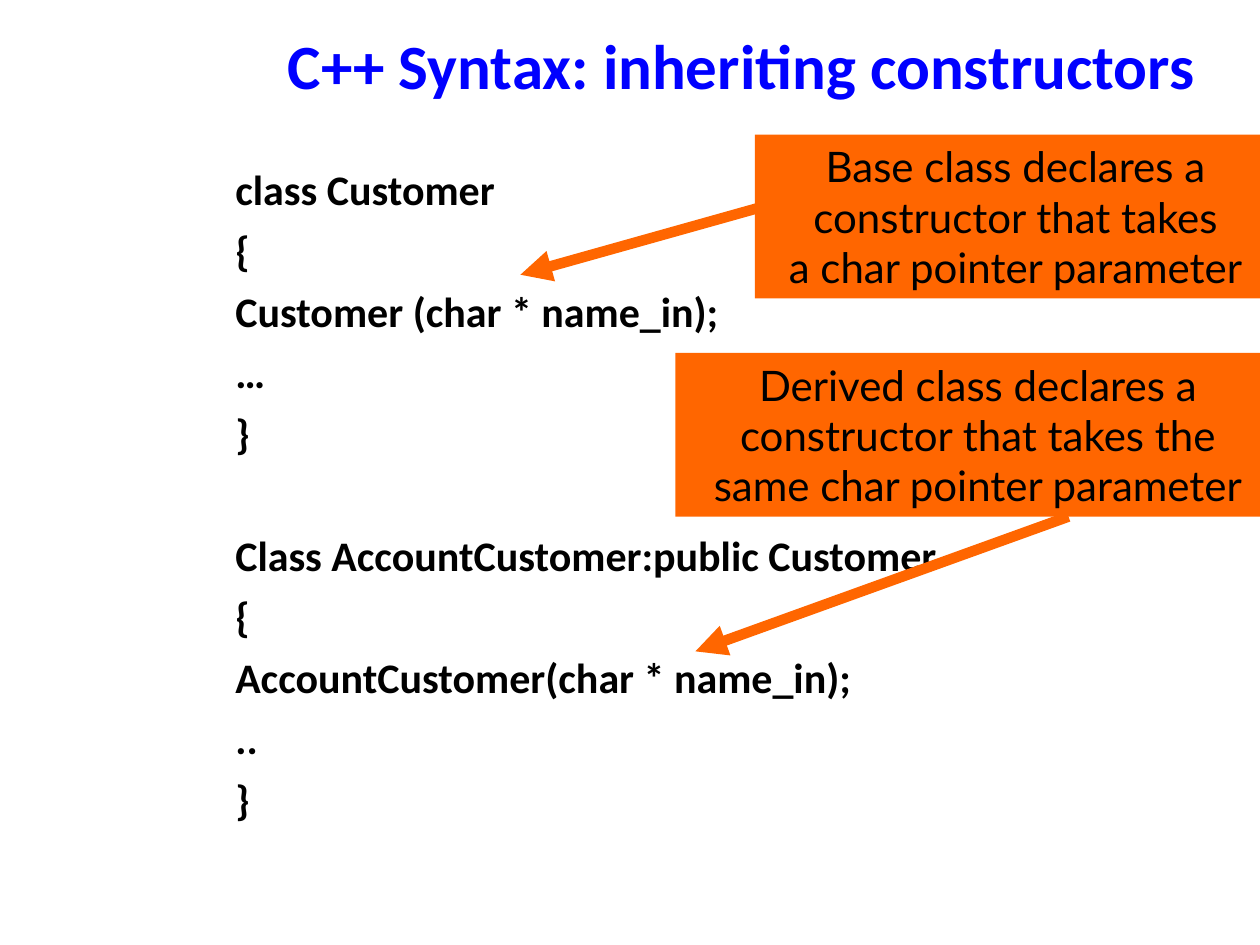
from lxml import etree
from pptx import Presentation
from pptx.dml.color import RGBColor
from pptx.enum.shapes import MSO_CONNECTOR as Connector, MSO_SHAPE as Shape
from pptx.enum.text import MSO_ANCHOR as Anchor, PP_ALIGN as Align
from pptx.oxml.ns import qn
from pptx.util import Pt

BLUE = RGBColor(0x00, 0x00, 0xFF)
BLACK = RGBColor(0x00, 0x00, 0x00)
ORANGE = RGBColor(0xFF, 0x66, 0x00)

TITLE = "C++ Syntax: inheriting constructors"
CLASSES = [
    ["class Customer", "{", "Customer (char * name_in);", "…", "}"],
    ["Class AccountCustomer:public Customer", "{",
     "AccountCustomer(char * name_in);", "..", "}"],
]
# Lines, then left, top, width, height
CALLOUTS = [
    (["Base class declares a", "constructor that takes",
      "a char pointer parameter"], (431.3, 77, 298, 93.6)),
    (["Derived class declares a", "constructor that takes the",
      "same char pointer parameter"], (386, 201.6, 345.6, 93.6)),
]
# Start x, y, then end x, y
ARROWS = [(441.4, 116.6, 297.4, 157), (610.6, 295.2, 397.4, 372.2)]

TEXT_SIZE = 24
LINE_GAP = 6
CLASS_GAP = 41  # one empty line plus the usual gap


def points(values):
    return [Pt(value) for value in values]


def add_line(frame, index, text, font, size, color, bold=False):
    para = frame.paragraphs[0] if index == 0 else frame.add_paragraph()
    span = para.add_run()
    span.text = text
    span.font.name = font
    span.font.size = Pt(size)
    span.font.color.rgb = color
    span.font.bold = bold
    return para


def add_title(page):
    frame = page.shapes.add_textbox(*points((127.4, -8, 592.6, 90))).text_frame
    frame.word_wrap = True
    frame.vertical_anchor = Anchor.MIDDLE
    add_line(frame, 0, TITLE, "Calibri", 36, BLUE, True).alignment = Align.CENTER


def add_code(page):
    frame = page.shapes.add_textbox(*points((127.4, 90, 602.6, 391.7))).text_frame
    frame.word_wrap = True
    count = 0
    for lines in CLASSES:
        for number, text in enumerate(lines):
            para = add_line(frame, count, text, "Calibri", TEXT_SIZE, BLACK, True)
            if count:
                para.space_before = Pt(LINE_GAP if number else CLASS_GAP)
            count += 1


def add_callout(page, lines, place):
    box = page.shapes.add_shape(Shape.RECTANGLE, *points(place))
    box.shadow.inherit = False
    box.fill.solid()
    box.fill.fore_color.rgb = ORANGE
    box.line.fill.background()
    frame = box.text_frame
    frame.word_wrap = False
    frame.vertical_anchor = Anchor.MIDDLE
    for index, text in enumerate(lines):
        para = add_line(frame, index, text, "Lato", TEXT_SIZE, BLACK)
        para.alignment = Align.CENTER


def add_arrow(page, ends):
    arrow = page.shapes.add_connector(Connector.STRAIGHT, *points(ends))
    arrow.line.color.rgb = ORANGE
    arrow.line.width = Pt(6)
    etree.SubElement(arrow.line._get_or_add_ln(), qn("a:tailEnd"), type="triangle")
    etree.SubElement(arrow._element.spPr, qn("a:effectLst"))


def main():
    deck = Presentation()
    deck.slide_width, deck.slide_height = Pt(720), Pt(540)
    page = deck.slides.add_slide(deck.slide_layouts[6])
    add_title(page)
    add_code(page)
    for lines, place in CALLOUTS:
        add_callout(page, lines, place)
    for ends in ARROWS:
        add_arrow(page, ends)
    deck.save("out.pptx")


if __name__ == "__main__":
    main()
